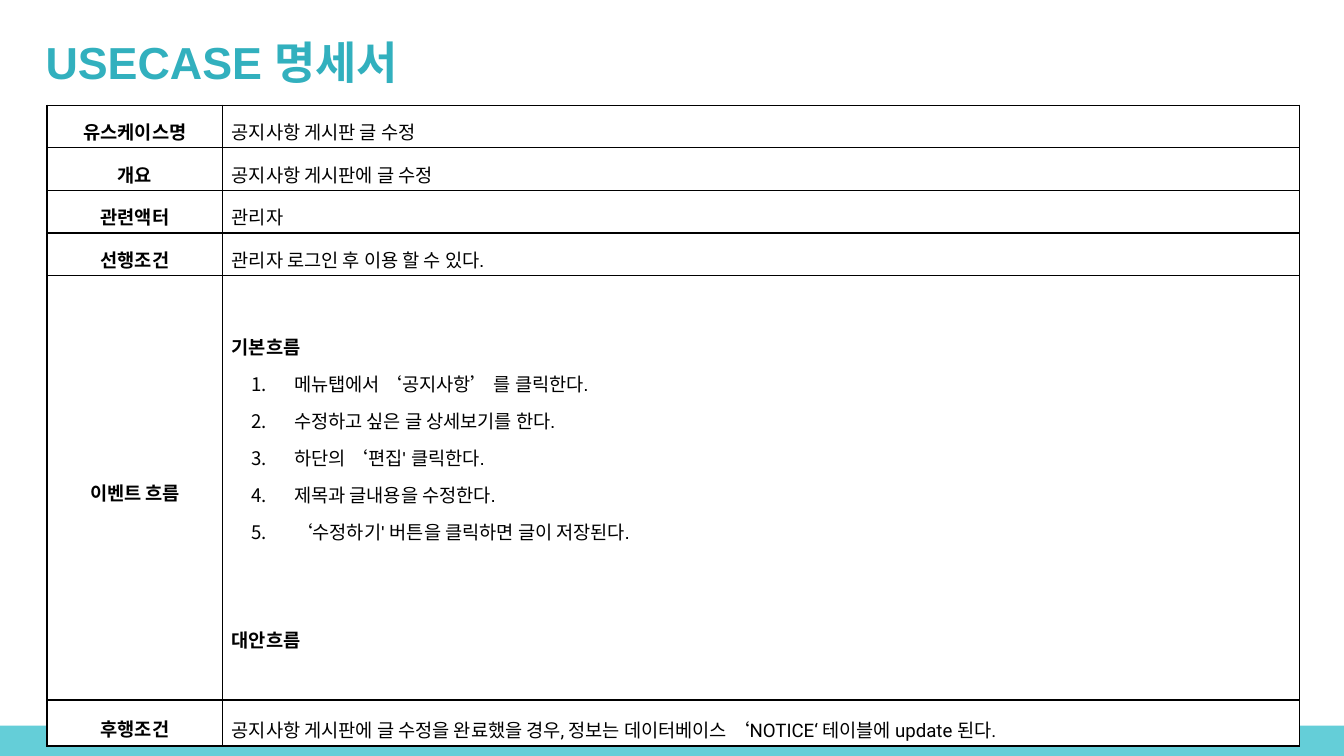
from dataclasses import dataclass

from lxml import etree
from pptx import Presentation
from pptx.dml.color import RGBColor
from pptx.enum.shapes import MSO_SHAPE
from pptx.enum.text import MSO_ANCHOR, PP_ALIGN
from pptx.oxml.ns import qn
from pptx.util import Pt

RECTANGLE = MSO_SHAPE.RECTANGLE
MIDDLE = MSO_ANCHOR.MIDDLE
LEFT, CENTER = PP_ALIGN.LEFT, PP_ALIGN.CENTER


@dataclass(frozen=True)
class Theme:
    heading: str = "32B0BE"
    band: str = "64CED8"
    ink: str = "000000"
    paper: str = "FFFFFF"
    font: str = "Arial"
    accent_font: str = "Roboto"
    heading_size: float = 24
    body_size: float = 10
    rule_width: float = 0.75


THEME = Theme()
SLIDE_SIZE = (720, 405)
BAND_TOP = 388.8
HEADING_BOX = (19.4, 13.7, 683.3, 42.5)
TABLE_ORIGIN = (25.2, 56.4)
COLUMN_WIDTHS = (94.2, 576.6)
SHORT_ROW, FLOW_ROW, LAST_ROW = 22.8, 227.5, 24.6
LINE, LOOSE_LINE = 1.38, 1.5
STEP_LEFT, STEP_HANG = 33.4, 23
ALTERNATIVE_GAP = 36

HEADING = "USECASE 명세서"
STEPS = [
    "메뉴탭에서 ‘공지사항’ 를 클릭한다.",
    "수정하고 싶은 글 상세보기를 한다.",
    "하단의 ‘편집' 클릭한다.",
    "제목과 글내용을 수정한다.",
    "‘수정하기' 버튼을 클릭하면 글이 저장된다.",
]
FLOW = [
    {"text": "기본흐름", "bold": True},
    *({"text": step, "numbered": True} for step in STEPS),
    {"text": "대안흐름", "bold": True, "line": LOOSE_LINE, "before": ALTERNATIVE_GAP},
]
OUTCOME = (
    "공지사항 게시판에 글 수정을 완료했을 경우, "
    "정보는 데이터베이스 ‘NOTICE‘ 테이블에 update 된다."
)
ROWS = [
    ("유스케이스명", SHORT_ROW, [{"text": "공지사항 게시판 글 수정"}]),
    ("개요", SHORT_ROW, [{"text": "공지사항 게시판에 글 수정"}]),
    ("관련액터", SHORT_ROW, [{"text": "관리자"}]),
    ("선행조건", SHORT_ROW, [{"text": "관리자 로그인 후 이용 할 수 있다."}]),
    ("이벤트 흐름", FLOW_ROW, FLOW),
    ("후행조건", LAST_ROW,
     [{"text": OUTCOME, "line": LOOSE_LINE, "font": THEME.accent_font}]),
]


def rgb(code):
    return RGBColor.from_string(code)


def add_run(paragraph, text, size, color, bold=False, font=THEME.font):
    run = paragraph.add_run()
    run.text = text
    run.font.name = font
    run.font.size = Pt(size)
    run.font.bold = bold
    run.font.color.rgb = rgb(color)


def number_step(paragraph):
    properties = paragraph._p.get_or_add_pPr()
    properties.set("marL", str(Pt(STEP_LEFT)))
    properties.set("indent", str(-Pt(STEP_HANG)))
    bullet_color = etree.SubElement(properties, qn("a:buClr"))
    etree.SubElement(bullet_color, qn("a:srgbClr"), val=THEME.ink)
    etree.SubElement(properties, qn("a:buAutoNum"), type="arabicPeriod")


def style_cell(cell, left_margin):
    cell.vertical_anchor = MIDDLE
    cell.margin_left, cell.margin_right = Pt(left_margin), Pt(2.2)
    cell.margin_top = cell.margin_bottom = Pt(1.5)
    properties = cell._tc.get_or_add_tcPr()
    for side in ("lnL", "lnR", "lnT", "lnB"):
        border = etree.SubElement(
            properties, qn(f"a:{side}"), w=str(Pt(THEME.rule_width)))
        fill = etree.SubElement(border, qn("a:solidFill"))
        etree.SubElement(fill, qn("a:srgbClr"), val=THEME.ink)
    cell.fill.solid()
    cell.fill.fore_color.rgb = rgb(THEME.paper)


def fill_cell(cell, entries, align, left_margin):
    style_cell(cell, left_margin)
    frame = cell.text_frame
    for index, entry in enumerate(entries):
        paragraph = frame.add_paragraph() if index else frame.paragraphs[0]
        paragraph.alignment = align
        paragraph.line_spacing = entry.get("line", LINE)
        if "before" in entry:
            paragraph.space_before = Pt(entry["before"])
        if entry.get("numbered"):
            number_step(paragraph)
        add_run(paragraph, entry["text"], THEME.body_size, THEME.ink,
                entry.get("bold", False), entry.get("font", THEME.font))


def add_band(slide):
    width, height = SLIDE_SIZE
    band = slide.shapes.add_shape(
        RECTANGLE, 0, Pt(BAND_TOP), Pt(width), Pt(height - BAND_TOP))
    band.shadow.inherit = False
    band.fill.solid()
    band.fill.fore_color.rgb = rgb(THEME.band)
    band.line.fill.background()


def add_heading(slide):
    frame = slide.shapes.add_textbox(*map(Pt, HEADING_BOX)).text_frame
    frame.word_wrap = True
    frame.vertical_anchor = MIDDLE
    frame.margin_left = frame.margin_right = Pt(5)
    frame.margin_top = frame.margin_bottom = Pt(2.9)
    paragraph = frame.paragraphs[0]
    paragraph.line_spacing = 0.9
    add_run(paragraph, HEADING, THEME.heading_size, THEME.heading, bold=True)


def add_specification(slide):
    extent = (sum(COLUMN_WIDTHS), sum(height for _, height, _ in ROWS))
    table = slide.shapes.add_table(
        len(ROWS), len(COLUMN_WIDTHS), *map(Pt, TABLE_ORIGIN + extent)).table
    table.first_row = table.horz_banding = False
    for column, width in zip(table.columns, COLUMN_WIDTHS):
        column.width = Pt(width)
    for row, (label, height, entries) in zip(table.rows, ROWS):
        row.height = Pt(height)
        label_cell, detail_cell = row.cells
        fill_cell(label_cell, [{"text": label, "bold": True}], CENTER, 2.2)
        fill_cell(detail_cell, entries, LEFT, 4.8)


def main():
    """Build the use case specification slide."""
    presentation = Presentation()
    presentation.slide_width, presentation.slide_height = map(Pt, SLIDE_SIZE)
    slide = presentation.slides.add_slide(presentation.slide_layouts[6])
    add_band(slide)
    add_heading(slide)
    add_specification(slide)
    presentation.save("out.pptx")


if __name__ == "__main__":
    main()
